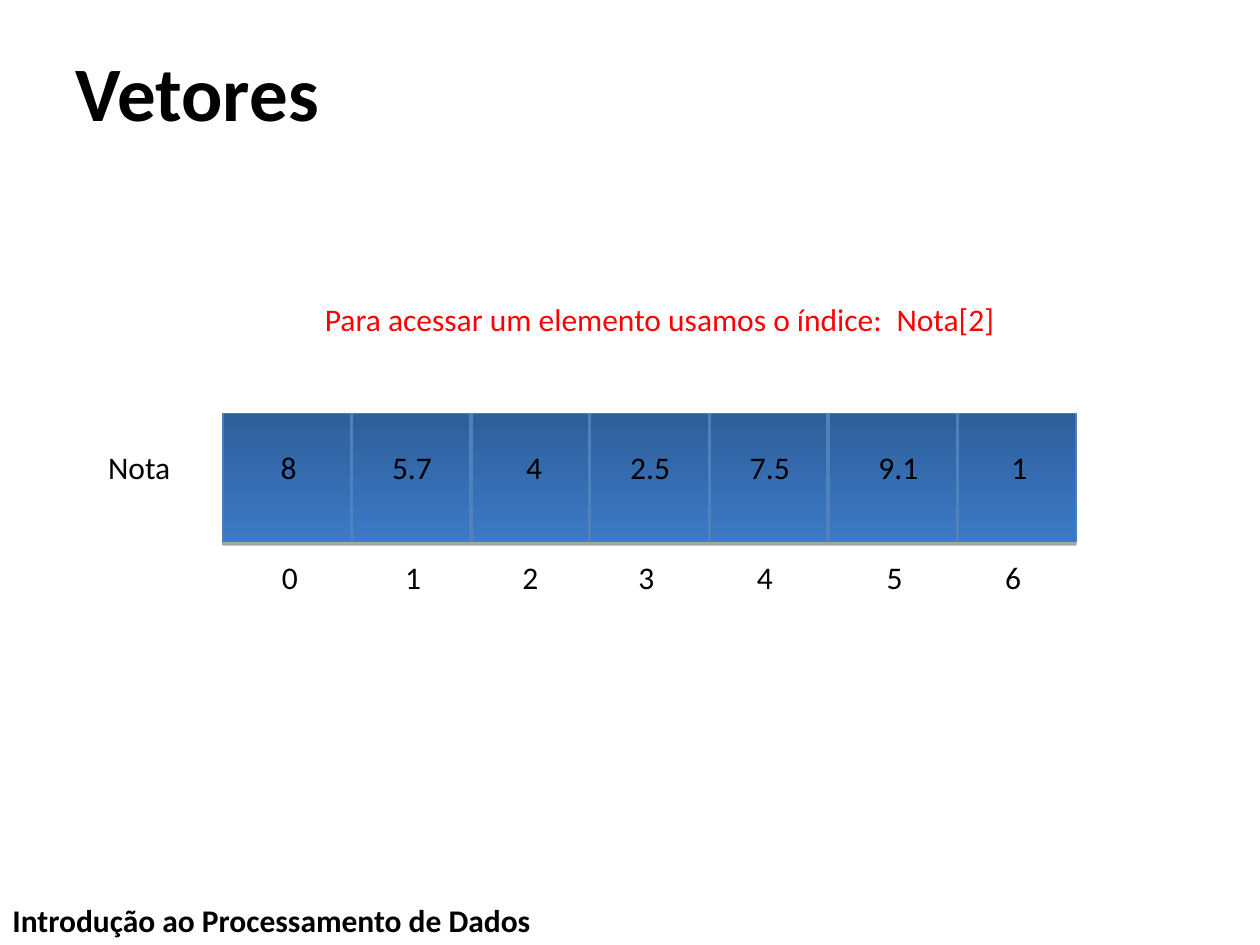
from itertools import accumulate

from lxml import etree
from pptx import Presentation
from pptx.dml.color import RGBColor
from pptx.enum.shapes import MSO_CONNECTOR, MSO_SHAPE
from pptx.enum.text import MSO_ANCHOR, MSO_AUTO_SIZE, PP_ALIGN
from pptx.oxml import parse_xml
from pptx.oxml.ns import nsdecls, qn
from pptx.util import Inches, Pt

BLACK, RED = "000000", "FF0000"
ROW_TOP, ROW_HEIGHT, TEXT_HEIGHT = 3.28, 1.02, 0.4
ROW_LEFT = 1.77
COLUMN_WIDTHS = [1.02, 0.95, 0.94, 0.95, 0.94, 1.03, 0.94]
VALUES = ["8", "5.7", "4", "2.5", "7.5", "9.1", "1"]
VALUE_CENTRES = [2.29, 3.27, 4.24, 5.16, 6.11, 7.13, 8.09]
INDEX_CENTRES = [2.3, 3.28, 4.21, 5.13, 6.07, 7.1, 8.04]


def colour(code):
    return RGBColor.from_string(code)


def format_runs(frame, size, code, bold=False):
    for para in frame.paragraphs:
        for span in para.runs:
            span.font.name = "Calibri"
            span.font.size = Pt(size)
            span.font.bold = bold
            span.font.color.rgb = colour(code)


def add_label(shapes, text, left, top, width, code=BLACK, bold=False,
              align=PP_ALIGN.LEFT):
    """Add one line of 18 pt text that does not wrap."""
    box = shapes.add_textbox(*map(Inches, (left, top, width, TEXT_HEIGHT)))
    frame = box.text_frame
    frame.text = text
    frame.word_wrap = False
    frame.auto_size = MSO_AUTO_SIZE.SHAPE_TO_FIT_TEXT
    frame.paragraphs[0].alignment = align
    format_runs(frame, 18, code, bold)
    return box


def add_centred_labels(shapes, texts, centres, top):
    for text, centre in zip(texts, centres):
        width = 0.34 if len(text) == 1 else 0.54
        add_label(shapes, text, centre - width / 2, top, width,
                  align=PP_ALIGN.CENTER)


def add_title(slide):
    title = slide.shapes.title
    title.left, title.top, title.width, title.height = map(
        Inches, (0.5, 0.3, 9, 1.25))
    frame = title.text_frame
    frame.text = "Vetores"
    frame.vertical_anchor = MSO_ANCHOR.TOP
    frame.paragraphs[0].alignment = PP_ALIGN.LEFT
    format_runs(frame, 44, BLACK, bold=True)


def add_bar(shapes, left, top, width, height):
    bar = shapes.add_shape(MSO_SHAPE.RECTANGLE,
                           *map(Inches, (left, top, width, height)))
    bar.fill.gradient()
    bar.fill.gradient_angle = 270
    for stop, code in zip(bar.fill.gradient_stops, ("2E5F99", "3C7AC7")):
        stop.color.rgb = colour(code)
    bar.line.color.rgb = colour("4A7EBB")
    bar.line.width = Pt(0.75)
    bar._element.spPr.append(parse_xml(
        f'<a:effectLst {nsdecls("a")}>'
        f'<a:outerShdw blurRad="0" dist="{Pt(1.8)}" dir="5400000" rotWithShape="0">'
        '<a:srgbClr val="000000"><a:alpha val="35000"/></a:srgbClr>'
        '</a:outerShdw></a:effectLst>'))


def add_divider(shapes, x, top, height):
    divider = shapes.add_connector(
        MSO_CONNECTOR.STRAIGHT, *map(Inches, (x, top, x, top + height)))
    divider.line.color.rgb = colour("4F81BD")
    divider.line.width = Pt(2)
    etree.SubElement(divider._element.spPr, qn("a:effectLst"))


def add_vector(shapes, left, top, widths, height):
    """Draw the array: its cells, name, values and indices."""
    add_bar(shapes, left, top, sum(widths), height)
    for offset in accumulate(widths[:-1]):
        add_divider(shapes, left + offset, top, height)
    value_top = top + 0.23
    add_label(shapes, "Nota", left - 1.01, value_top, 0.69)
    add_centred_labels(shapes, map(str, range(len(widths))), INDEX_CENTRES,
                       top + height + 0.08)
    add_centred_labels(shapes, VALUES, VALUE_CENTRES, value_top)


def add_access_note(shapes, left, top, width):
    note = add_label(shapes, "Para acessar um elemento usamos o índice:",
                     left, top, width, RED)
    para = note.text_frame.paragraphs[0]
    gap = para.add_run()
    gap.text = " "
    para.add_run().text = "Nota[2]"
    format_runs(note.text_frame, 18, RED)
    gap._r.get_or_add_rPr().set("spc", "400")  # widens the gap before the code


def main():
    deck = Presentation()
    deck.slide_width, deck.slide_height = Inches(10), Inches(7.5)
    slide = deck.slides.add_slide(deck.slide_layouts[5])
    add_label(slide.shapes, "Introdução ao Processamento de Dados",
              0, 7.1, 6.31, bold=True).text_frame.word_wrap = True
    add_title(slide)
    diagram = slide.shapes.add_group_shape().shapes
    add_vector(diagram, ROW_LEFT, ROW_TOP, COLUMN_WIDTHS, ROW_HEIGHT)
    add_access_note(diagram, 2.48, 2.33, 5.51)
    deck.save("out.pptx")


if __name__ == "__main__":
    main()
